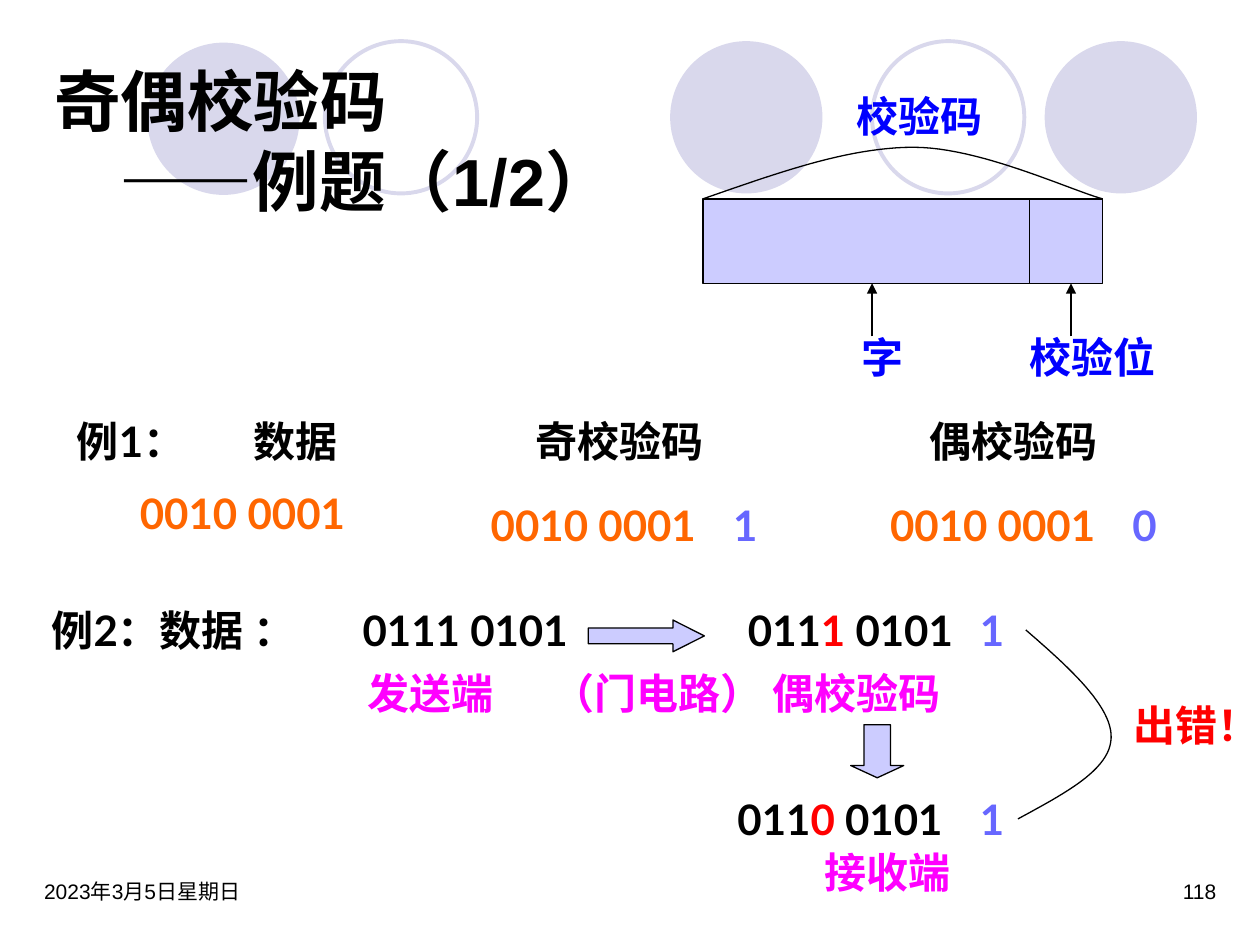
from lxml import etree
from pptx import Presentation
from pptx.dml.color import RGBColor
from pptx.enum import shapes, text
from pptx.oxml.ns import qn
from pptx.util import Cm, Pt

BLACK = RGBColor(0x00, 0x00, 0x00)
BLUE = RGBColor(0x00, 0x00, 0xFF)
RED = RGBColor(0xFF, 0x00, 0x00)
MAGENTA = RGBColor(0xFF, 0x00, 0xFF)
ORANGE = RGBColor(0xFF, 0x66, 0x00)
VIOLET = RGBColor(0x67, 0x67, 0xFF)
LAVENDER = RGBColor(0xCC, 0xCC, 0xFF)
PALE = RGBColor(0xD9, 0xD8, 0xEC)
CJK = "Noto Sans CJK SC"
LEFT, CENTER, RIGHT = text.PP_ALIGN.LEFT, text.PP_ALIGN.CENTER, text.PP_ALIGN.RIGHT

prs = Presentation()
prs.slide_width, prs.slide_height = Cm(25.4), Cm(19.05)
s = prs.slides.add_slide(prs.slide_layouts[5])


def add_run(p, words, color, size=24, font="Lato", bold=True):
    r = p.add_run()
    r.text = words
    r.font.size, r.font.bold = Pt(size), bold
    r.font.color.rgb = color
    r.font.name = font
    etree.SubElement(r._r.get_or_add_rPr(), qn("a:ea"), typeface=CJK)


def add_box(x, y, w, align=CENTER, h=1.27):
    tf = s.shapes.add_textbox(Cm(x), Cm(y), Cm(w), Cm(h)).text_frame
    tf.word_wrap = True
    tf.paragraphs[0].alignment = align
    return tf.paragraphs[0], tf


# Background circles: left, top, filled
for x, y, filled in [(13.51, 0.83, True), (21.06, 0.83, True), (2.97, 0.86, True),
                     (17.58, 0.83, False), (6.55, 0.83, False)]:
    sp = s.shapes.add_shape(shapes.MSO_SHAPE.OVAL, Cm(x), Cm(y), Cm(3.07), Cm(3.07))
    sp.shadow.inherit = False
    if filled:
        sp.fill.solid()
        sp.fill.fore_color.rgb = PALE
        sp.line.fill.background()
    else:
        sp.fill.background()
        sp.line.color.rgb = PALE
        sp.line.width = Pt(2.25)

# Title, in front of the circles
title = s.shapes.title
s.shapes._spTree.append(title._element)
title.left, title.top, title.width, title.height = Cm(0.84), Cm(0.76), Cm(22.86), Cm(4.11)
tf = title.text_frame
tf.auto_size = text.MSO_AUTO_SIZE.NONE
tf.vertical_anchor = text.MSO_ANCHOR.MIDDLE
for p, words, indent in [(tf.paragraphs[0], "奇偶校验码", 0),
                         (tf.add_paragraph(), "——例题（1/2）", 1.32)]:
    p.alignment = LEFT
    p._p.get_or_add_pPr().set("marL", str(Cm(indent)))
    add_run(p, words, BLACK, 38, "Arial")

# Date and page number
for x, words, align in [(0.64, "2023年3月5日星期日", LEFT), (18.85, "118", RIGHT)]:
    p, tf = add_box(x, 17.58, 5.92, align)
    add_run(p, words, BLACK, 12, "Arial", False)

# Code word bar and block arrows
for kind, x, y, w, h, adj in [
        (shapes.MSO_SHAPE.RECTANGLE, 14.17, 4.01, 8.06, 1.7, None),
        (shapes.MSO_SHAPE.RIGHT_ARROW, 11.86, 12.5, 2.34, 0.64, 0.99),
        (shapes.MSO_SHAPE.DOWN_ARROW, 17.15, 14.61, 1.07, 1.07, 0.23)]:
    sp = s.shapes.add_shape(kind, Cm(x), Cm(y), Cm(w), Cm(h))
    sp.shadow.inherit = False
    sp.fill.solid()
    sp.fill.fore_color.rgb = LAVENDER
    sp.line.color.rgb = BLACK
    sp.line.width = Pt(0.75)
    if adj:
        sp.adjustments[1] = adj

# Bar divider and the two pointers
for x, y1, y2, arrow in [(20.75, 4.01, 5.71, False), (21.59, 6.78, 5.71, True),
                         (17.58, 6.78, 5.71, True)]:
    c = s.shapes.add_connector(shapes.MSO_CONNECTOR.STRAIGHT, Cm(x), Cm(y1), Cm(x), Cm(y2))
    c.line.color.rgb = BLACK
    c.line.width = Pt(0.75)
    if arrow:
        etree.SubElement(c.line._get_or_add_ln(), qn("a:tailEnd"), type="triangle")
    etree.SubElement(c._element.spPr, qn("a:effectLst"))

# Curved braces: pairs of cubic curves, drawn in short steps
STEPS = 24
for pts in [
        [(14.17, 4.01), (15.62, 3.51), (17.07, 2.97), (18.42, 2.97),
         (19.76, 2.97), (21.59, 3.84), (22.23, 4.01)],
        [(20.68, 12.7), (21.56, 13.46), (22.43, 14.25), (22.4, 14.88),
         (22.38, 15.52), (21.46, 16), (20.52, 16.51)]]:
    fb = s.shapes.build_freeform(Cm(pts[0][0]), Cm(pts[0][1]))
    curve = []
    for k in (0, 3):
        for i in range(1, STEPS + 1):
            t = i / STEPS
            weights = ((1 - t) ** 3, 3 * t * (1 - t) ** 2, 3 * t * t * (1 - t), t ** 3)
            curve.append([Cm(sum(w * q[axis] for w, q in zip(weights, pts[k:k + 4])))
                          for axis in (0, 1)])
    fb.add_line_segments(curve, close=False)
    sp = fb.convert_to_shape()
    sp.shadow.inherit = False
    sp.fill.background()
    sp.line.color.rgb = BLACK
    sp.line.width = Pt(0.75)

# Centred labels: left, top, width, font, coloured runs
for x, y, w, font, runs in [
        (15.67, 1.69, 5.72, "Lato", [("校验码", BLUE)]),
        (16.31, 6.56, 2.96, "Lato", [("字", BLUE)]),
        (20.11, 6.56, 3.81, "Lato", [("校验位", BLUE)]),
        (10.37, 8.26, 4.23, "Lato", [("奇校验码", BLACK)]),
        (18.2, 8.26, 4.45, "Lato", [("偶校验码", BLACK)]),
        (9.1, 9.95, 5.72, "Lato", [("0010 0001", ORANGE)]),
        (14.18, 9.95, 1.69, "Lato", [("1", VIOLET)]),
        (17.15, 9.95, 5.72, "Lato", [("0010 0001", ORANGE)]),
        (22.23, 9.95, 1.69, "Lato", [("0", VIOLET)]),
        (14.18, 12.07, 5.93, "Lato", [("011", BLACK), ("1", RED), (" 0101", BLACK)]),
        (19.26, 12.07, 1.48, "Lato", [("1", VIOLET)]),
        (6.35, 13.34, 4.66, CJK, [("发送端", MAGENTA)]),
        (10.8, 13.34, 4.9, CJK, [("（门电路）", MAGENTA)]),
        (15.14, 13.34, 4.24, CJK, [("偶校验码", MAGENTA)]),
        (13.97, 15.88, 5.93, "Lato", [("011", BLACK), ("0", RED), (" 0101", BLACK)]),
        (19.48, 15.88, 1.04, "Lato", [("1", VIOLET)]),
        (14.82, 16.94, 6.14, CJK, [("接收端", MAGENTA)]),
        (22.43, 13.97, 3.38, "Lato", [("出错！", RED)])]:
    p, tf = add_box(x, y, w)
    for words, color in runs:
        add_run(p, words, color, font=font)

# Example lines with a tab stop: left, top, width, height, tab, words
for x, y, w, h, tab, words in [(1.3, 8.26, 6.65, 2.79, 3.56, "例1：\t数据"),
                               (0.79, 12.07, 11.28, 1.27, 6.27, "例2：数据 ：\t0111 0101")]:
    p, tf = add_box(x, y, w, LEFT, h)
    tabs = etree.SubElement(p._p.get_or_add_pPr(), qn("a:tabLst"))
    etree.SubElement(tabs, qn("a:tab"), pos=str(Cm(tab)), algn="l")
    add_run(p, words, BLACK)
    if tab == 3.56:
        p = tf.add_paragraph()
        p.space_before = Pt(12)
        p._p.get_or_add_pPr().set("marL", str(Cm(1.27)))
        add_run(p, "0010 0001", ORANGE)

prs.save("out.pptx")
